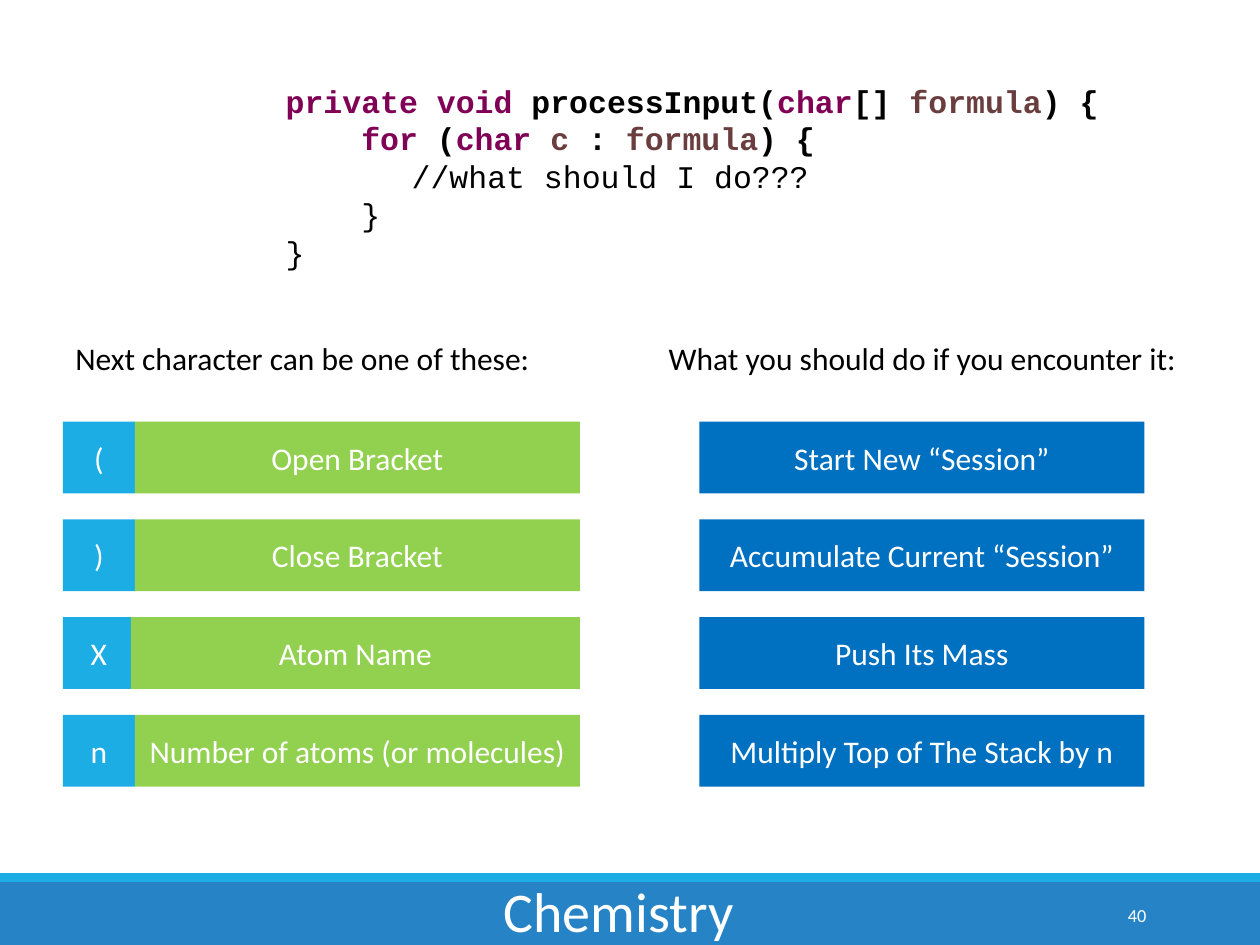
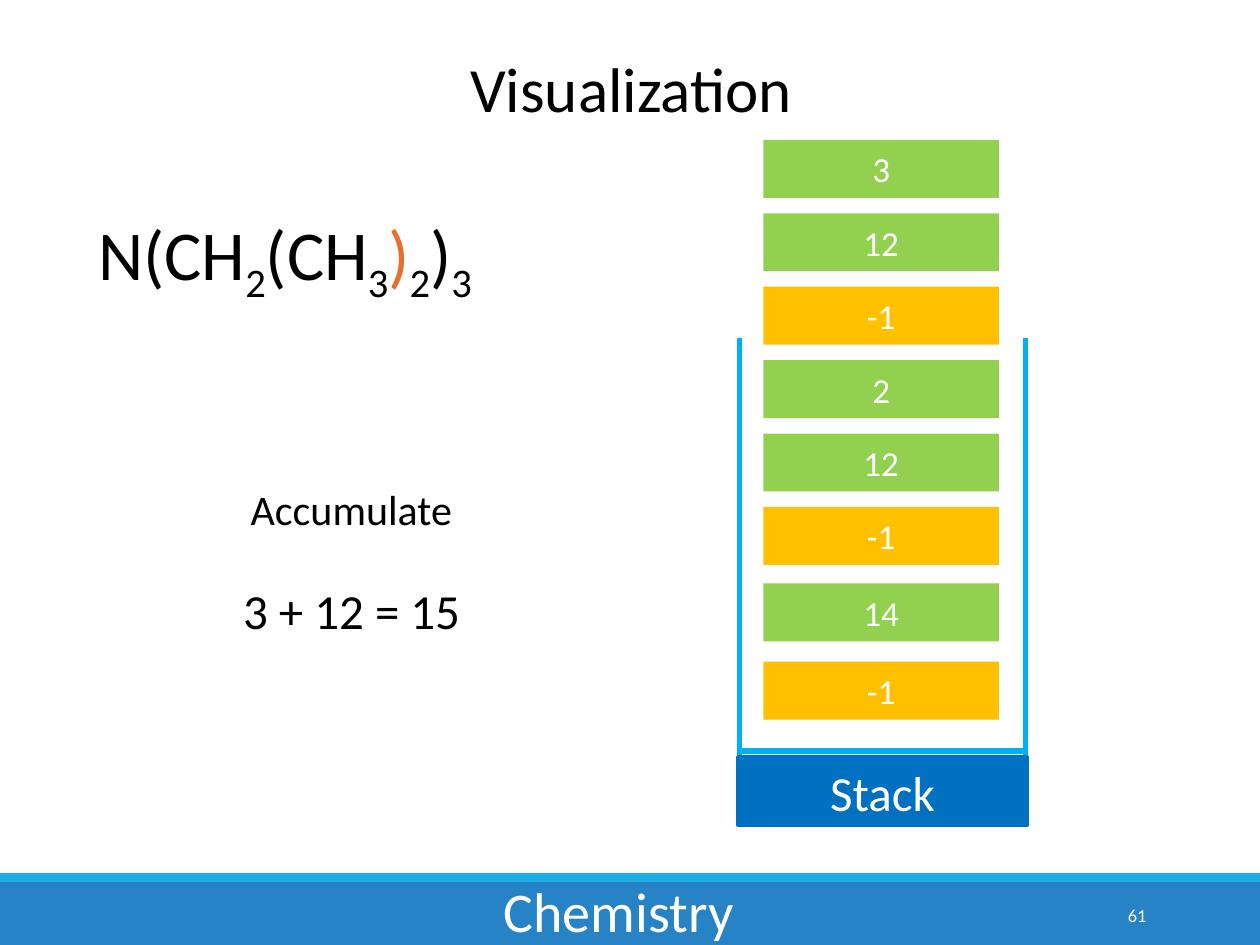
from lxml import etree
from pptx import Presentation
from pptx.dml.color import RGBColor
from pptx.enum import shapes, text
from pptx.oxml.ns import qn
from pptx.util import Cm, Pt

BLACK = RGBColor(0x00, 0x00, 0x00)
WHITE = RGBColor(0xFF, 0xFF, 0xFF)
BAND = RGBColor(0x26, 0x83, 0xC6)
CYAN = RGBColor(0x1C, 0xAD, 0xE4)
GREEN = RGBColor(0x92, 0xD0, 0x50)
BLUE = RGBColor(0x00, 0x70, 0xC0)
AMBER = RGBColor(0xFF, 0xC0, 0x00)
FRAME = RGBColor(0x00, 0xB0, 0xF0)
ORANGE = RGBColor(0xE7, 0x70, 0x2F)
KEYWORD = RGBColor(0x7F, 0x00, 0x55)
VARIABLE = RGBColor(0x6A, 0x3E, 0x3E)

CENTER = text.PP_ALIGN.CENTER
MIDDLE = text.MSO_ANCHOR.MIDDLE
SUBSCRIPT = -25000


def set_attributes(target, values):
    for name, value in values.items():
        setattr(target, name, value)


class Deck:
    def __init__(self):
        self.presentation = Presentation()
        size = {"slide_width": Cm(25.4), "slide_height": Cm(19.05)}
        set_attributes(self.presentation, size)
        self.slide = None

    def new_slide(self, number):
        layout = self.presentation.slide_layouts[6]
        self.slide = self.presentation.slides.add_slide(layout)
        self.box((0, 17.78, 25.4, 1.27), BAND)
        self.box((0, 17.6, 25.4, 0.18), CYAN)
        self.label((7.09, 17.53, 10.77, 1.63), "Chemistry", 32, WHITE, CENTER,
                   vertical_anchor=text.MSO_ANCHOR.BOTTOM)
        self.label((20.62, 17.93, 2.74, 1.02), str(number), 10.5, WHITE,
                   text.PP_ALIGN.RIGHT, vertical_anchor=MIDDLE)

    def add_run(self, paragraph, words, color, **font_format):
        run = paragraph.add_run()
        run.text = words
        set_attributes(run.font, {"name": "Calibri", **font_format})
        run.font.color.rgb = color
        return run

    def box(self, place, fill, words="", size=18, line=None):
        shape = self.slide.shapes.add_shape(
            shapes.MSO_SHAPE.RECTANGLE, *map(Cm, place))
        shape.shadow.inherit = False
        shape.fill.solid()
        shape.fill.fore_color.rgb = fill
        if line:
            shape.line.color.rgb = line
            shape.line.width = Pt(2.25)
        else:
            shape.line.fill.background()
        if words:
            set_attributes(shape.text_frame,
                           {"word_wrap": True, "vertical_anchor": MIDDLE})
            paragraph = shape.text_frame.paragraphs[0]
            paragraph.alignment = CENTER
            self.add_run(paragraph, words, WHITE, size=Pt(size))

    def text_frame(self, place, **frame_format):
        frame = self.slide.shapes.add_textbox(*map(Cm, place)).text_frame
        set_attributes(frame, {"word_wrap": True, **frame_format})
        return frame

    def label(self, place, words, size, color=BLACK,
              alignment=text.PP_ALIGN.LEFT, **frame_format):
        paragraph = self.text_frame(place, **frame_format).paragraphs[0]
        paragraph.alignment = alignment
        self.add_run(paragraph, words, color, size=Pt(size))

    def code(self, place, lines):
        frame = self.text_frame(place)
        for index, (indent, bold, runs) in enumerate(lines):
            paragraph = frame.add_paragraph() if index else frame.paragraphs[0]
            paragraph.line_spacing = Pt(21.6)
            paragraph._p.get_or_add_pPr().set("marL", str(Cm(indent)))
            for words, color in runs:
                self.add_run(paragraph, words, color, name="Courier New",
                             size=Pt(18), bold=bold)

    def formula(self, place, runs):
        paragraph = self.text_frame(place).paragraphs[0]
        for words, color, baseline in runs:
            run = self.add_run(paragraph, words, color, size=Pt(40))
            run._r.get_or_add_rPr().set("baseline", str(baseline))

    def line(self, *ends):
        connector = self.slide.shapes.add_connector(
            shapes.MSO_CONNECTOR.STRAIGHT, *map(Cm, ends))
        connector.line.color.rgb = FRAME
        connector.line.width = Pt(3)
        etree.SubElement(connector._element.spPr, qn("a:effectLst"))


def add_rules_slide(deck):
    deck.new_slide(40)
    deck.code((5.51, 1.52, 17.04, 4.04), [
        (0, True, [("private void ", KEYWORD), ("processInput(", BLACK),
                   ("char", KEYWORD), ("[] ", BLACK),
                   ("formula", VARIABLE), (") {", BLACK)]),
        (0, True, [("    for ", KEYWORD), ("(", BLACK), ("char ", KEYWORD),
                   ("c", VARIABLE), (" : ", BLACK),
                   ("formula", VARIABLE), (") {", BLACK)]),
        (2.54, False, [("//what should I do???", BLACK)]),
        (0, False, [("    }", BLACK)]),
        (0, False, [("}", BLACK)]),
    ])
    deck.label((1.27, 6.71, 9.78, 1.02), "Next character can be one of these:",
               18, word_wrap=False)
    deck.label((13.23, 6.71, 10.74, 1.02),
               "What you should do if you encounter it:", 18, word_wrap=False)
    rules = [
        ("(", "Open Bracket", "Start New “Session”", 0),
        (")", "Close Bracket", "Accumulate Current “Session”", 0),
        ("X", "Atom Name", "Push Its Mass", 0.08),
        ("n", "Number of atoms (or molecules)",
         "Multiply Top of The Stack by n", 0),
    ]
    height, width = 1.45, 8.97
    for row, (character, meaning, action, overlap) in enumerate(rules):
        top = 8.5 + 1.97 * row
        deck.box((1.27, top, height, height), CYAN, character)
        deck.box((2.72 - overlap, top, width + overlap, height), GREEN, meaning)
        deck.box((14.1, top, width, height), BLUE, action)


def add_stack_slide(deck):
    deck.new_slide(61)
    deck.label((9.3, 0.89, 14.99, 1.7), "Visualization", 36,
               alignment=text.PP_ALIGN.JUSTIFY,
               margin_left=Cm(0.18), margin_right=Cm(0.18),
               margin_top=Cm(0.1), margin_bottom=Cm(0.1))
    deck.formula((1.73, 4.11, 13.16, 1.96), [
        ("N(CH", BLACK, 0), ("2", BLACK, SUBSCRIPT),
        ("(CH", BLACK, 0), ("3", BLACK, SUBSCRIPT),
        (")", ORANGE, 0), ("2", BLACK, SUBSCRIPT),
        (")", BLACK, 0), ("3", BLACK, SUBSCRIPT),
    ])
    left, right, bottom = 14.91, 20.68, 15.27
    for side in (left, right):
        deck.line(side, 6.81, side, bottom)
    deck.line(left, 15.14, right, 15.14)
    deck.box((14.88, bottom, 5.82, 1.37), BLUE, "Stack", 28, BLUE)
    values = [3, 12, -1, 2, 12, -1, 14, -1]
    tops = [2.82 + 1.48 * row for row in range(6)] + [11.76, 13.34]
    for value, top in zip(values, tops):
        fill = AMBER if value < 0 else GREEN
        deck.box((15.39, top, 4.75, 1.17), fill, str(value), 20)
    deck.label((4.8, 9.63, 4.57, 1.27), "Accumulate", 24, alignment=CENTER,
               word_wrap=False)
    deck.label((4.65, 11.58, 7.29, 1.45), "3 + 12 = 15", 28)


def main():
    deck = Deck()
    add_rules_slide(deck)
    add_stack_slide(deck)
    deck.presentation.save("out.pptx")


if __name__ == "__main__":
    main()
